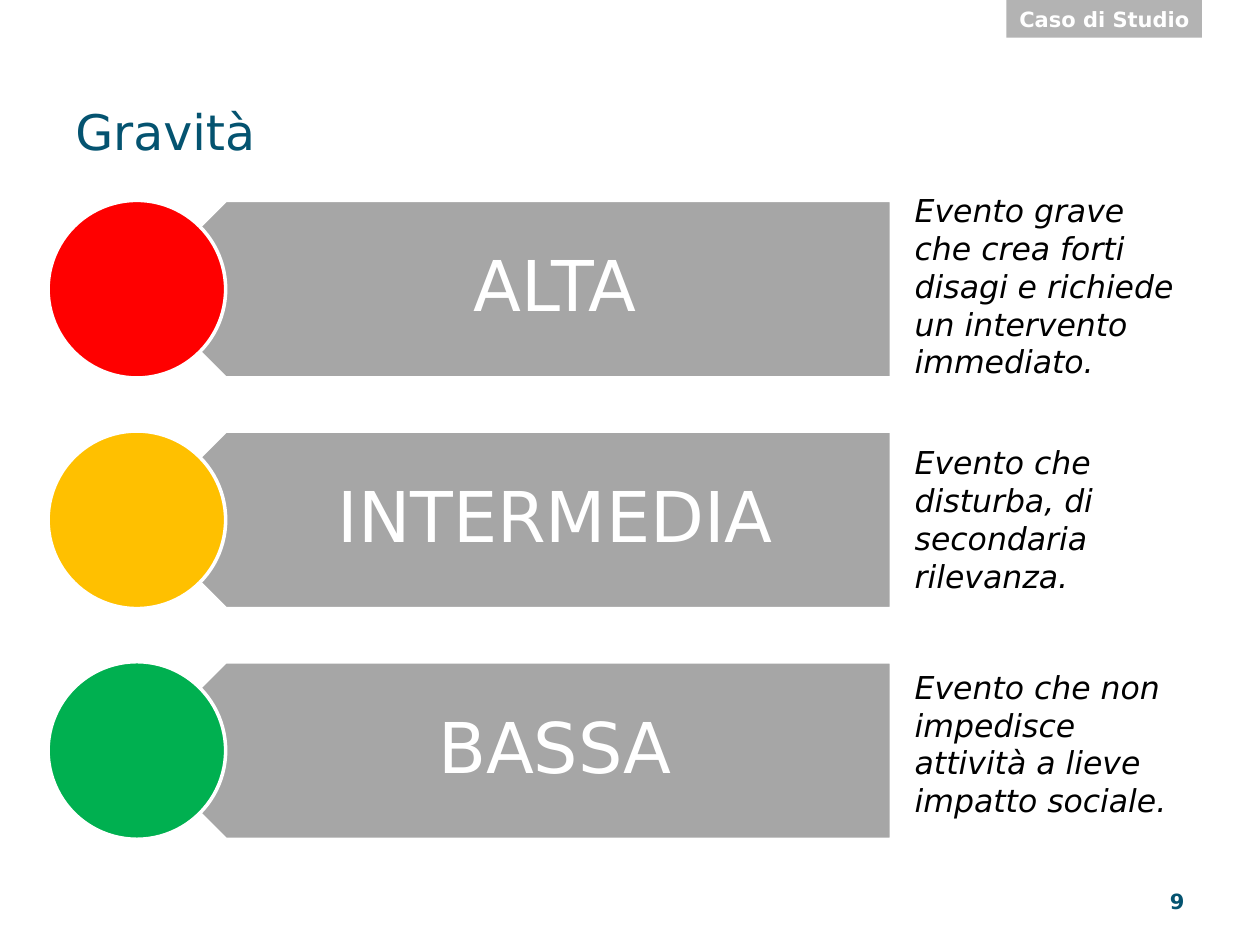
from dataclasses import dataclass

from pptx import Presentation
from pptx.dml.color import RGBColor as Rgb
from pptx.enum.shapes import MSO_SHAPE as Shape
from pptx.enum.text import MSO_ANCHOR as Anchor, PP_ALIGN as Align
from pptx.util import Cm, Pt


@dataclass(frozen=True)
class Theme:
    font: str = "DejaVu Sans"
    white: str = "FFFFFF"
    black: str = "000000"
    teal: str = "045370"
    tag: str = "B3B3B3"
    bar: str = "A6A6A6"
    red: str = "FF0000"
    amber: str = "FFC000"
    green: str = "00B050"
    small: int = 12
    body: int = 18
    title: int = 28
    label: int = 40


THEME = Theme()

# Label, light colour, note, note offset from the row top, note height (cm)
ROWS = [
    ("ALTA", THEME.red, "Evento grave che crea forti disagi e richiede "
     "un intervento immediato.", -0.31, 4.11),
    ("INTERMEDIA", THEME.amber, "Evento che disturba, di secondaria rilevanza.",
     0.12, 3.33),
    ("BASSA", THEME.green, "Evento che non impedisce attività a lieve "
     "impatto sociale.", 0, 3.33),
]


def write(shape, text, size, color, align=Align.LEFT, anchor=Anchor.MIDDLE,
          bold=False, italic=False, wrap=True):
    frame = shape.text_frame
    frame.word_wrap = wrap
    frame.vertical_anchor = anchor
    para = frame.paragraphs[0]
    para.text = text
    para.alignment = align
    font = para.font
    font.name, font.size = THEME.font, Pt(size)
    font.bold, font.italic = bold, italic
    font.color.rgb = Rgb.from_string(color)
    return frame


def add_text(slide, box, text, size, color, **style):
    shape = slide.shapes.add_textbox(*map(Cm, box))
    return write(shape, text, size, color, **style)


def add_block(slide, kind, box, fill, line=None):
    shape = slide.shapes.add_shape(kind, *map(Cm, box))
    shape.shadow.inherit = False
    shape.fill.solid()
    shape.fill.fore_color.rgb = Rgb.from_string(fill)
    if line:
        shape.line.color.rgb = Rgb.from_string(line)
        shape.line.width = Pt(2)
    else:
        shape.line.fill.background()
    return shape


def add_head(slide, left, top, width):
    # Section tag
    tag = add_block(slide, Shape.RECTANGLE, (left + 19.02, top, 3.94, 0.76),
                    THEME.tag)
    write(tag, "Caso di Studio", THEME.small, THEME.white, align=Align.RIGHT,
          bold=True, wrap=False)
    # Title
    add_text(slide, (left, top + 1.73, width, 1.8), "Gravità", THEME.title,
             THEME.teal)


def add_row(slide, left, top, width, height, row):
    label, light, note, shift, tall = row
    # Bar pointing left, with its label
    start = left + height / 2
    bar = add_block(slide, Shape.PENTAGON, (start, top, 15.21, height),
                    THEME.bar, THEME.white)
    bar.rotation = 180
    frame = add_text(slide, (start + 0.89, top, 14.3, height), label,
                     THEME.label, THEME.white, align=Align.CENTER)
    frame.margin_left, frame.margin_right = Cm(1.57), Cm(0.79)
    frame.margin_top = frame.margin_bottom = Cm(0.43)
    frame.paragraphs[0].line_spacing = 0.9
    # Light
    add_block(slide, Shape.OVAL, (left, top, height, height), light,
              THEME.white)
    # Note
    wide = 5.92
    add_text(slide, (left + width - wide, top + shift, wide, tall), note,
             THEME.body, THEME.black, anchor=Anchor.TOP, italic=True)


def add_rows(slide, left, top, width, height):
    size = 3.58
    step = (height - size) / (len(ROWS) - 1)
    for i, row in enumerate(ROWS):
        add_row(slide, left, top + i * step, width, size, row)


def add_foot(slide, left, top, width, height):
    add_text(slide, (left, top, width, height), "9", THEME.small, THEME.teal,
             align=Align.RIGHT, bold=True)


def main():
    deck = Presentation()
    deck.slide_width, deck.slide_height = Cm(25.4), Cm(19.05)
    slide = deck.slides.add_slide(deck.slide_layouts[6])
    add_head(slide, 1.27, 0, 22.86)
    add_rows(slide, 0.97, 4.04, 23.14, 12.88)
    add_foot(slide, 18.21, 17.65, 5.92, 1.02)
    deck.save("out.pptx")


if __name__ == "__main__":
    main()
